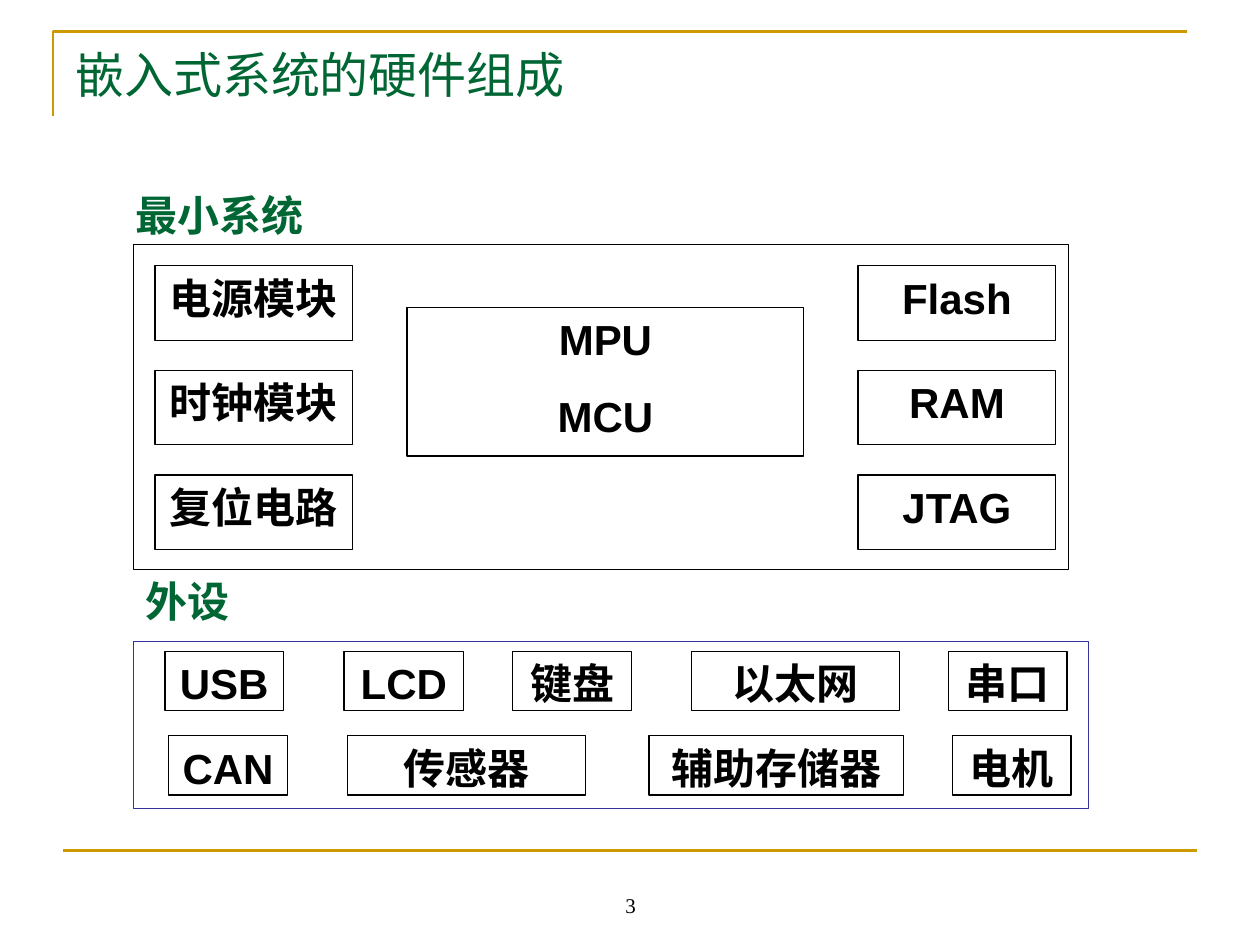
from dataclasses import dataclass

from lxml.etree import SubElement
from pptx import Presentation
from pptx.dml.color import RGBColor
from pptx.enum.shapes import MSO_CONNECTOR, MSO_SHAPE
from pptx.enum.text import MSO_ANCHOR, PP_ALIGN
from pptx.oxml.ns import qn
from pptx.util import Inches, Pt

# Grid of 100 columns by 75 rows over the slide
WIDTH, HEIGHT = Inches(10), Inches(7.5)
COL, ROW = WIDTH / 100, HEIGHT / 75

GREEN, GOLD, BLUE, BLACK = "006633", "CC9900", "333399", "000000"
TITLE = {"size": Pt(28), "name": "Times New Roman", "bold": False}
NUMBER = {"size": Pt(12), "name": "Times New Roman", "bold": False}
LABEL = {"size": Pt(24), "name": "Arial", "bold": True}


@dataclass
class Area:
    col: float
    row: float
    cols: float
    rows: float

    def emu(self) -> tuple[int, int, int, int]:
        return (round(self.col * COL), round(self.row * ROW),
                round(self.cols * COL), round(self.rows * ROW))


@dataclass
class Heading:
    text: str
    area: Area
    font: dict
    color: str
    anchor: MSO_ANCHOR
    align: PP_ALIGN = PP_ALIGN.LEFT


@dataclass
class Block:
    text: str
    area: Area
    color: str = BLACK


def rgb(value: str) -> RGBColor:
    return RGBColor.from_string(value)


def write(sp, text: str, font: dict, color: str, align: PP_ALIGN,
          anchor: MSO_ANCHOR, before: float = 0) -> None:
    tf = sp.text_frame
    tf.word_wrap = True
    tf.vertical_anchor = anchor
    for i, line in enumerate(text.split("\n")):
        p = tf.paragraphs[0] if i == 0 else tf.add_paragraph()
        p.alignment = align
        p.space_before = Pt(before)
        r = p.add_run()
        r.text = line
        for key, value in font.items():
            setattr(r.font, key, value)
        r.font.color.rgb = rgb(color)


def outline(sp, color: str, width: float) -> None:
    sp.line.color.rgb = rgb(color)
    sp.line.width = Pt(width)


def draw_heading(s, h: Heading) -> None:
    sp = s.shapes.add_textbox(*h.area.emu())
    write(sp, h.text, h.font, h.color, h.align, h.anchor)


def draw_block(s, b: Block) -> None:
    sp = s.shapes.add_shape(MSO_SHAPE.RECTANGLE, *b.area.emu())
    sp.shadow.inherit = False
    sp.fill.background()
    outline(sp, b.color, 0.75)
    if b.text:
        write(sp, b.text, LABEL, BLACK, PP_ALIGN.CENTER, MSO_ANCHOR.TOP, 15)


def draw_line(s, start: tuple, end: tuple, color: str, width: float) -> None:
    (x1, y1), (x2, y2) = start, end
    sp = s.shapes.add_connector(MSO_CONNECTOR.STRAIGHT, round(x1 * COL),
                                round(y1 * ROW), round(x2 * COL), round(y2 * ROW))
    outline(sp, color, width)
    SubElement(sp._element.spPr, qn("a:effectLst"))


def draw_corner(s, col: float, row: float, cols: float, rows: float) -> None:
    fb = s.shapes.build_freeform(round(col * COL), round((row + rows) * ROW))
    fb.add_line_segments([(round(col * COL), round(row * ROW)),
                          (round((col + cols) * COL), round(row * ROW))], close=False)
    sp = fb.convert_to_shape()
    sp.shadow.inherit = False
    sp.fill.background()
    outline(sp, GOLD, 1.5)


HEADINGS = [
    Heading("嵌入式系统的硬件组成", Area(5, 3, 90, 6.9), TITLE, GREEN, MSO_ANCHOR.TOP),
    Heading("3", Area(34.2, 68.3, 31.7, 5), NUMBER, BLACK, MSO_ANCHOR.BOTTOM,
            PP_ALIGN.CENTER),
    Heading("最小系统", Area(9.8, 13.9, 80.8, 6.2), LABEL, GREEN, MSO_ANCHOR.MIDDLE),
    Heading("外设", Area(10.6, 44.6, 80.8, 6.2), LABEL, GREEN, MSO_ANCHOR.MIDDLE),
]

# Minimal system: a column of modules on either side of the processor
MODULES = {12.3: ["电源模块", "时钟模块", "复位电路"],
           68.1: ["Flash", "RAM", "JTAG"]}
MODULE_TOP, MODULE_STEP = 21.1, 8.3

# Peripherals: row -> (name, column, columns wide)
PERIPHERALS = {
    51.7: [("USB", 13.1, 9.4), ("LCD", 27.3, 9.5), ("键盘", 40.7, 9.4),
           ("以太网", 54.9, 16.5), ("串口", 75.3, 9.4)],
    58.4: [("CAN", 13.4, 9.4), ("传感器", 27.6, 18.9),
           ("辅助存储器", 51.5, 20.2), ("电机", 75.6, 9.4)],
}


def main() -> None:
    prs = Presentation()
    prs.slide_width, prs.slide_height = WIDTH, HEIGHT
    s = prs.slides.add_slide(prs.slide_layouts[6])

    # Page rules
    draw_corner(s, 4.2, 2.5, 90, 6.7)
    draw_line(s, (5, 67.5), (95, 67.5), GOLD, 1.5)

    for h in HEADINGS:
        draw_heading(s, h)

    # Frames, processor, modules and peripherals
    blocks = [Block("", Area(10.6, 19.4, 74.2, 25.8)),
              Block("", Area(10.6, 50.9, 75.8, 13.3), BLUE),
              Block("MPU\nMCU", Area(32.3, 24.4, 31.5, 11.8))]
    blocks += [Block(name, Area(col, MODULE_TOP + i * MODULE_STEP, 15.7, 5.9))
               for col, names in MODULES.items() for i, name in enumerate(names)]
    blocks += [Block(name, Area(col, row, cols, 4.7))
               for row, items in PERIPHERALS.items() for name, col, cols in items]
    for b in blocks:
        draw_block(s, b)

    # Point between the two frames
    draw_line(s, (46.7, 47.5), (46.7, 47.5), BLACK, 0.75)

    prs.save("out.pptx")


if __name__ == "__main__":
    main()
